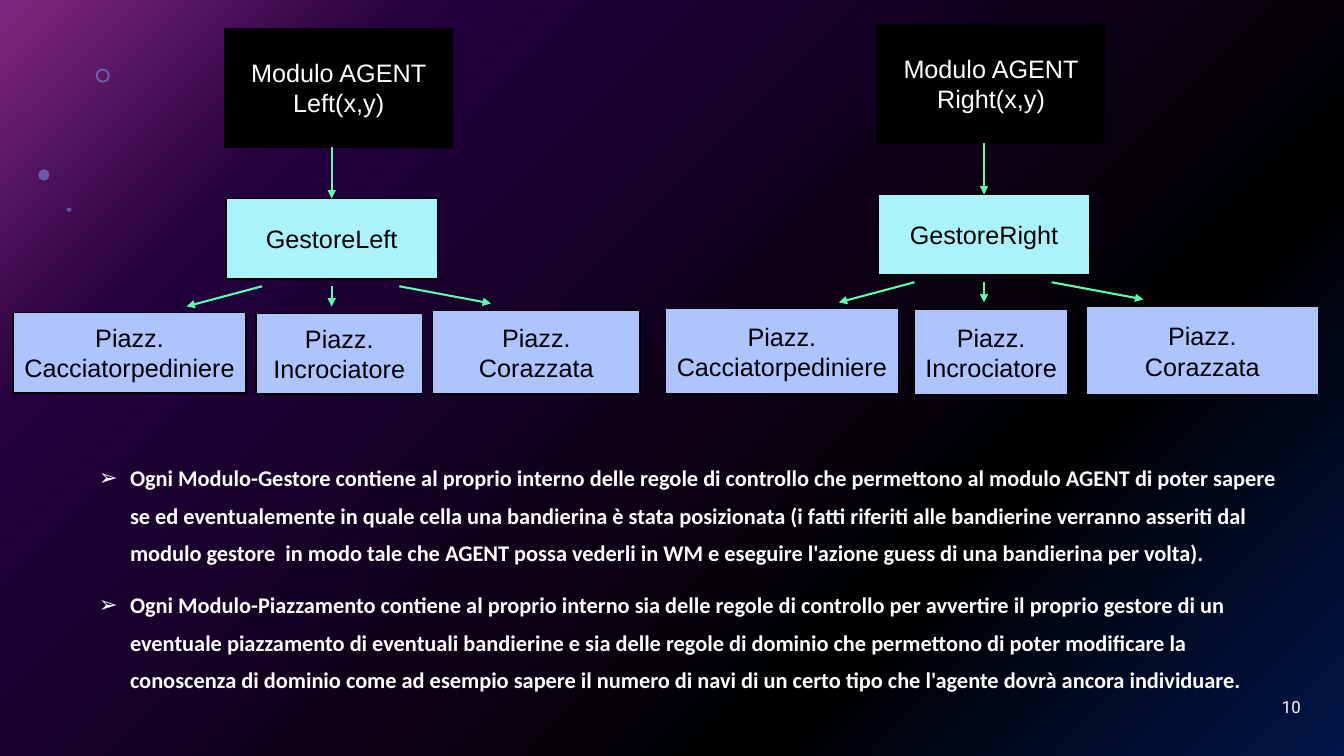
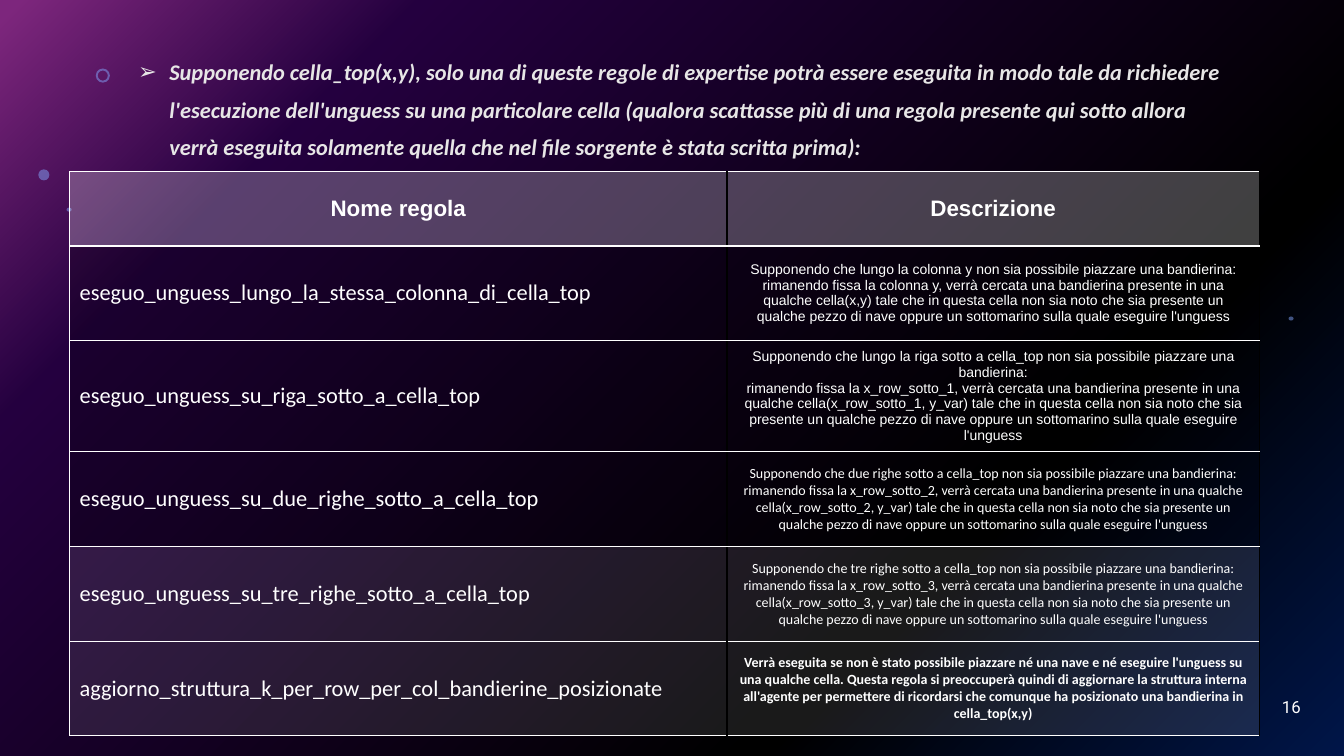
from lxml import etree
from pptx import Presentation
from pptx import util as u
from pptx.dml import color
from pptx.enum import shapes, text
from pptx.oxml import ns, parse_xml

WHITE, BLACK, MIST = "FFFFFF", "000000", "E7E6E6"
CYAN, PERIWINKLE, MINT, DOT = "ABF3FB", "ADC4FE", "5EFCAC", "83A7FD"
GLOW = [(0, "022D94"), (28, BLACK), (80, "4A027F"), (99, "FC4EFB")]
LEFT, CENTER, RIGHT = text.PP_ALIGN.LEFT, text.PP_ALIGN.CENTER, text.PP_ALIGN.RIGHT
MIDDLE = text.MSO_ANCHOR.MIDDLE
RECT, OVAL, DONUT = (shapes.MSO_SHAPE.RECTANGLE, shapes.MSO_SHAPE.OVAL,
                     shapes.MSO_SHAPE.DONUT)


def hue(code):
    """Turn a hex string into a colour."""
    return color.RGBColor.from_string(code)


def add(parent, tag, **attributes):
    """Append a namespaced child element."""
    child = etree.SubElement(parent, ns.qn(tag))
    for name, value in attributes.items():
        child.set(name, str(value))
    return child


def paint(fill, owner, code, opacity=100):
    """Fill solidly, with an opacity in percent."""
    fill.solid()
    fill.fore_color.rgb = hue(code)
    if opacity < 100:
        for tint in owner.iter(ns.qn("a:srgbClr")):
            add(tint, "a:alpha", val=opacity * 1000)


class Deck:
    """Hold the shared style and the current slide."""

    def __init__(self):
        """Set the slide size."""
        self.show = Presentation()
        self.show.slide_width, self.show.slide_height = u.Inches(13.33), u.Inches(7.5)
        self.slide = None

    def dress_master(self):
        """Move the gradient, the veil and the dots to the master."""
        master = self.show.slide_master
        master.background.fill.solid()
        holder = master.element.find(".//" + ns.qn("p:bgPr"))
        stops = "".join(f'<a:gs pos="{pos * 1000}"><a:srgbClr val="{code}"/></a:gs>'
                        for pos, code in GLOW)
        holder.replace(holder[0], parse_xml(
            f'<a:gradFill {ns.nsdecls("a")} rotWithShape="1"><a:gsLst>{stops}</a:gsLst>'
            '<a:path path="circle"><a:fillToRect l="100000" t="100000"/></a:path>'
            '</a:gradFill>'))
        veil = self.shape(RECT, (0, 0, 13.33, 7.5), BLACK, 50)
        ring = self.shape(DONUT, (0.95, 0.68, 0.14, 0.14), DOT, 49)
        ring.adjustments[0] = 0.14
        dots = [self.dot(0.38, 1.68, 0.11, 0.11), self.dot(0.66, 2.06)]
        for ornament in (veil, ring, *dots):
            master.shapes.element.append(ornament.element)

    def new_slide(self, number):
        """Start a slide with its page number."""
        first = self.slide is None
        self.slide = self.show.slides.add_slide(self.show.slide_layouts[1])
        title = self.slide.shapes.title.element
        title.getparent().remove(title)
        if first:
            self.dress_master()
        page = self.slide.shapes.add_textbox(*map(u.Inches, (10, 6.81, 3, 0.4)))
        page.text_frame.word_wrap = True
        page.text_frame.vertical_anchor = MIDDLE
        self.typeset(page.text_frame, number, RIGHT, name="Roboto", size=u.Pt(12))

    def typeset(self, frame, words, align, ink=WHITE, **style):
        """Put formatted paragraphs in a text frame."""
        frame.text = words
        for paragraph in frame.paragraphs:
            paragraph.alignment = align
            for run in paragraph.runs:
                run.font.color.rgb = hue(ink)
                for key, value in style.items():
                    setattr(run.font, key, value)

    def shape(self, kind, place, code, opacity=100):
        """Draw a plain shape without outline."""
        figure = self.slide.shapes.add_shape(kind, *map(u.Inches, place))
        figure.shadow.inherit = False
        paint(figure.fill, figure.element.spPr, code, opacity)
        figure.line.fill.background()
        return figure

    def dot(self, left, top, width=0.05, height=0.04):
        """Draw a background dot."""
        return self.shape(OVAL, (left, top, width, height), DOT, 49)

    def box(self, place, words, code, ink=BLACK):
        """Draw an outlined box of the diagram."""
        module = self.shape(RECT, place, code)
        module.line.color.rgb = hue(BLACK)
        module.line.width = u.Pt(1)
        module.text_frame.word_wrap = True
        module.text_frame.vertical_anchor = MIDDLE
        self.typeset(module.text_frame, words, CENTER, ink, name="Arial", size=u.Pt(18))
        return module

    def arrow(self, start, end, target=None):
        """Draw an arrow, joined to the top of its target if given."""
        link = self.slide.shapes.add_connector(
            shapes.MSO_CONNECTOR.STRAIGHT, *map(u.Inches, (*start, *end)))
        if target is not None:
            link.end_connect(target, 0)
        link.line.color.rgb = hue(MINT)
        link.line.width = u.Pt(1.5)
        properties = link.element.spPr
        add(properties.find(ns.qn("a:ln")), "a:tailEnd", type="triangle")
        add(properties, "a:effectLst")

    def tree(self, dx, dy, side, ships):
        """Draw an agent, its manager and the three ship modules."""
        self.box((2.23 + dx, 0.28 + dy, 2.26, 1.18),
                 f"Modulo AGENT\n{side}(x,y)", BLACK, WHITE)
        manager = self.box((2.24 + dx, 1.97 + dy, 2.1, 0.8), f"Gestore{side}", CYAN)
        self.arrow((3.29 + dx, 1.46 + dy), (3.29 + dx, 1.97 + dy), manager)
        for ship, place in ships.items():
            self.box(place, f"Piazz.\n{ship}", PERIWINKLE)
        for start, end, bottom in ((2.6, 1.85, 3.04), (3.29, 3.29, 3.04),
                                   (3.96, 4.87, 3.01)):
            self.arrow((start + dx, 2.84 + dy), (end + dx, bottom + dy))

    def bullets(self, place, items, **style):
        """Fill the body placeholder with arrow bullets."""
        body = self.slide.placeholders[1]
        body.left, body.top, body.width, body.height = map(u.Inches, place)
        frame = body.text_frame
        frame.auto_size = text.MSO_AUTO_SIZE.NONE
        frame.vertical_anchor = text.MSO_ANCHOR.TOP
        self.typeset(frame, "\n".join(items), LEFT, name="Calibri", size=u.Pt(16),
                     bold=True, **style)
        for index, paragraph in enumerate(frame.paragraphs):
            paragraph.line_spacing = 1.4
            paragraph.space_before = u.Pt(10 if index else 0)
            layout = paragraph._p.get_or_add_pPr()
            layout.set("marL", str(u.Inches(0.31)))
            layout.set("indent", str(-u.Inches(0.31)))
            add(layout, "a:buFont", typeface="Arial")
            add(layout, "a:buChar", char="➢")

    def cell(self, cell, words, align, fill, edges, **style):
        """Fill, border and letter one table cell."""
        cell.vertical_anchor = MIDDLE
        self.typeset(cell.text_frame, words, align, **style)
        properties = cell._tc.get_or_add_tcPr()
        paint(cell.fill, properties, *fill)
        for index, (side, (code, points)) in enumerate(edges.items()):
            edge = etree.Element(ns.qn("a:ln" + side), w=str(u.Pt(points)))
            add(add(edge, "a:solidFill"), "a:srgbClr", val=code)
            properties.insert(index, edge)

    def rules(self, top, heights, rows, header=False):
        """Draw a two-column table of rules."""
        grid = self.slide.shapes.add_table(
            len(rows), 2, *map(u.Inches, (0.69, top, 11.8, sum(heights)))).table
        grid.first_row, grid.horz_banding = header, False
        for column, width in zip(grid.columns, (6.52, 5.28)):
            column.width = u.Inches(width)
        for r, (height, (rule, meaning, fill, style)) in enumerate(zip(heights, rows)):
            grid.rows[r].height = u.Inches(height)
            heading = header and r == 0
            large = {"name": "Arial" if heading else "Calibri",
                     "size": u.Pt(16), "bold": heading}
            small = large if heading else {"size": u.Pt(10), **style}
            edges = {"L": (WHITE, 0.5), "R": (BLACK, 1),
                     "T": (WHITE, 1 if header and r == 1 else 0.5),
                     "B": (WHITE, 1 if heading else 0.5)}
            self.cell(grid.cell(r, 0), rule, CENTER if heading else LEFT,
                      fill, edges, **large)
            self.cell(grid.cell(r, 1), meaning, CENTER, fill,
                      {**edges, "L": (BLACK, 1)}, **small)


def meaning(where, fixed, position):
    """Describe a rule that looks for a flag to remove."""
    return (f"Supponendo che {where} non sia possibile piazzare una bandierina:\n"
            f"rimanendo fissa la {fixed}, verrà cercata una bandierina presente in una "
            f"qualche cella({position}) tale che in questa cella non sia noto che sia "
            "presente un qualche pezzo di nave oppure un sottomarino sulla quale "
            "eseguire l'unguess")


def row_meaning(where, number):
    """Describe a rule for a row below cella_top."""
    fixed = f"x_row_sotto_{number}"
    return meaning(f"{where} sotto a cella_top", fixed, f"{fixed}, y_var")


def modules_slide(deck):
    """Build the diagram of the agent modules."""
    deck.new_slide("10")
    deck.tree(0, 0, "Left", {"Cacciatorpediniere": (0.13, 3.1, 2.31, 0.8),
                             "Incrociatore": (2.54, 3.11, 1.65, 0.8),
                             "Corazzata": (4.29, 3.08, 2.06, 0.83)})
    deck.tree(6.47, -0.04, "Right", {"Cacciatorpediniere": (6.6, 3.06, 2.31, 0.85),
                                     "Incrociatore": (9.07, 3.07, 1.52, 0.85),
                                     "Corazzata": (10.77, 3.04, 2.31, 0.88)})
    deck.bullets((0.88, 4.45, 11.93, 2.76), [
        "Ogni Modulo-Gestore contiene al proprio interno delle regole di controllo che "
        "permettono al modulo AGENT di poter sapere se ed eventualemente in quale cella "
        "una bandierina è stata posizionata (i fatti riferiti alle bandierine verranno "
        "asseriti dal modulo gestore  in modo tale che AGENT possa vederli in WM e "
        "eseguire l'azione guess di una bandierina per volta).",
        "Ogni Modulo-Piazzamento contiene al proprio interno sia delle regole di "
        "controllo per avvertire il proprio gestore di un eventuale piazzamento di "
        "eventuali bandierine e sia delle regole di dominio che permettono di poter "
        "modificare la conoscenza di dominio come ad esempio sapere il numero di navi "
        "di un certo tipo che l'agente dovrà ancora individuare."])


def rules_slide(deck):
    """Build the tables of the unguess rules."""
    deck.new_slide("16")
    deck.dot(12.78, 3.14)
    deck.bullets((1.27, 0.42, 11.05, 1.1), [
        "Supponendo cella_top(x,y), solo una di queste regole di expertise potrà essere "
        "eseguita in modo tale da richiedere l'esecuzione dell'unguess su una "
        "particolare cella (qualora scattasse più di una regola presente qui sotto "
        "allora verrà eseguita solamente quella che nel file sorgente è stata scritta "
        "prima):"], ink=MIST, italic=True)
    dark, pale = (BLACK, 25), (WHITE, 10)
    arial, calibri = {"name": "Arial"}, {"name": "Calibri"}
    deck.rules(1.7, (0.74, 0.94, 0.97, 0.94, 0.94), [
        ("Nome regola", "Descrizione", (WHITE, 25), arial),
        ("eseguo_unguess_lungo_la_stessa_colonna_di_cella_top",
         meaning("lungo la colonna y", "colonna y", "x,y"), dark, arial),
        ("eseguo_unguess_su_riga_sotto_a_cella_top",
         row_meaning("lungo la riga", 1), dark, arial),
        ("eseguo_unguess_su_due_righe_sotto_a_cella_top",
         row_meaning("due righe", 2), dark, calibri),
        ("eseguo_unguess_su_tre_righe_sotto_a_cella_top",
         row_meaning("tre righe", 3), pale, calibri)], header=True)
    deck.rules(6.36, (0.94,), [
        ("aggiorno_struttura_k_per_row_per_col_bandierine_posizionate",
         "Verrà eseguita se non è stato possibile piazzare né una nave e né eseguire "
         "l'unguess su una qualche cella. Questa regola si preoccuperà quindi di "
         "aggiornare la struttura interna all'agente per permettere di ricordarsi che "
         "comunque ha posizionato una bandierina in cella_top(x,y)",
         pale, {"name": "Calibri", "bold": True})])


def main():
    """Build and save the presentation."""
    deck = Deck()
    modules_slide(deck)
    rules_slide(deck)
    deck.show.save("out.pptx")


if __name__ == "__main__":
    main()
